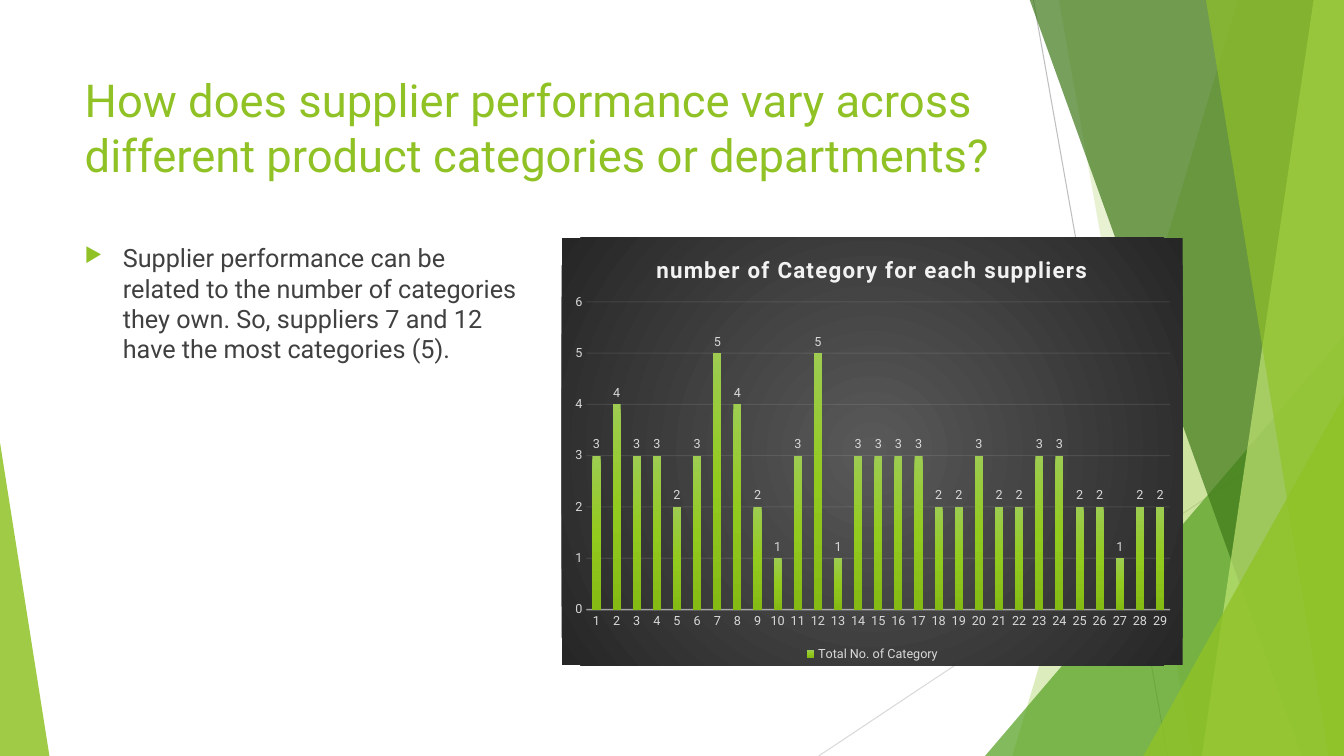
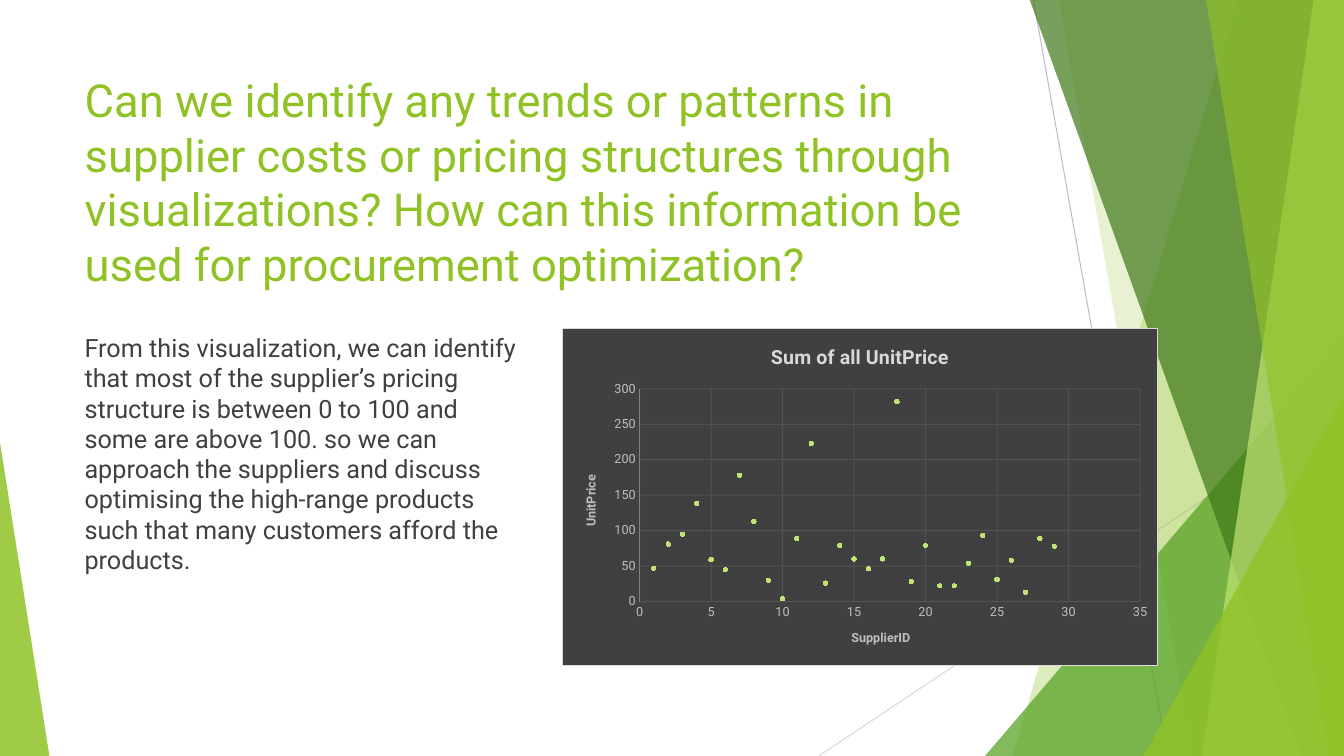
from pptx import Presentation
from pptx.chart.data import CategoryChartData, XyChartData
from pptx.dml.color import RGBColor
from pptx.enum.chart import (XL_CHART_TYPE, XL_LABEL_POSITION, XL_LEGEND_POSITION,
                             XL_MARKER_STYLE, XL_TICK_MARK)
from pptx.enum.shapes import MSO_CONNECTOR, MSO_SHAPE
from pptx.enum.text import MSO_ANCHOR, MSO_AUTO_SIZE, PP_ALIGN
from pptx.oxml import parse_xml
from pptx.oxml.ns import nsdecls
from pptx.util import Inches, Pt

FONT = "Roboto"
GREEN, LEAF, FOREST, LIME = "90C226", "54A021", "3F7819", "C0E474"
INK, SILVER, GREY, PALE = "404040", "D9D9D9", "BFBFBF", "F2F2F2"
TOP, BOTTOM, RIGHT = -0.01, 7.5, 13.33
LEFT, CHART_LEFT = 0.74, 5.57

# Lines: start, end, colour
RAYS = [((10.25, 0), (11.58, BOTTOM), GREY), ((RIGHT, 4.03), (8.12, BOTTOM), SILVER)]
# Facets reach the right edge: left x at the top, left x at the bottom, colour, opacity
BACK_FACETS = [(12.28, 10.04, GREEN, 30), (10.5, 11.83, GREEN, 20)]
FRONT_FACETS = [(10.21, 12.91, FOREST, 70), (13.03, 11.92, LIME, 70),
                (11.96, 13.18, GREEN, 65)]
# Triangles stand on the bottom edge: left, top, width, apex, colour, opacity
BACK_TRIANGLES = [(9.77, 3.33, 3.56, 1, LEAF, 72)]
FRONT_TRIANGLES = [(11.34, 3.93, 1.99, 1, GREEN, 80), (0, 4.39, 0.49, 0, GREEN, 85)]

CATEGORY_COUNTS = [3, 4, 3, 3, 2, 3, 5, 4, 2, 1, 3, 5, 1, 3, 3,
                   3, 3, 2, 2, 3, 2, 2, 3, 3, 2, 2, 1, 2, 2]
UNIT_PRICES = [47, 81, 95, 138, 59, 45, 178, 113, 30, 4, 89, 223, 26, 79, 60,
               46, 60, 282, 28, 79, 22, 22, 54, 93, 31, 58, 13, 89, 78]


def rgb(code):
    """Turn a hex string into a colour."""
    return RGBColor.from_string(code)


def style_font(font, size, color, bold=False):
    """Apply the deck typeface with a size, colour and weight."""
    font.name, font.size, font.bold = FONT, Pt(size), bold
    font.color.rgb = rgb(color)


def set_opacity(element, percent):
    """Give the colours in an element's own shape properties an opacity."""
    for color in element.xpath("./*[local-name()='spPr']//a:srgbClr"):
        color.append(parse_xml(f'<a:alpha {nsdecls("a")} val="{percent * 1000}"/>'))


def style_line(chart_format, color, width, opacity=100):
    """Format a chart line."""
    chart_format.line.color.rgb = rgb(color)
    chart_format.line.width = Pt(width)
    if opacity < 100:
        set_opacity(chart_format.element, opacity)


def solid(color):
    """Return the XML of a solid fill."""
    return f'<a:solidFill {nsdecls("a")}><a:srgbClr val="{color}"/></a:solidFill>'


def gradient(stops, direction):
    """Return the XML of a gradient fill from (percent, colour) stops."""
    marks = "".join(f'<a:gs pos="{place * 1000}"><a:srgbClr val="{color}"/></a:gs>'
                    for place, color in stops)
    return f'<a:gradFill {nsdecls("a")}><a:gsLst>{marks}</a:gsLst>{direction}</a:gradFill>'


class Report:
    """Holds the deck, its style and the current page."""

    def __init__(self):
        """Start a widescreen deck based on the title-only layout."""
        self.deck = Presentation()
        self.deck.slide_width, self.deck.slide_height = Inches(RIGHT), Inches(BOTTOM)
        self.layout = self.deck.slide_layouts[5]
        self.page = None

    def add_page(self, title):
        """Add a page and format its title."""
        self.page = self.deck.slides.add_slide(self.layout)
        box = self.page.shapes.title
        box.left, box.top = Inches(LEFT), Inches(0.67)
        box.width, box.height = Inches(9.4), Inches(1.44)
        self.add_text(box, title, 32.4, GREEN)

    def add_text(self, box, text, size, color):
        """Put one left-aligned paragraph at the top of a box."""
        frame = box.text_frame
        frame.word_wrap, frame.auto_size = True, MSO_AUTO_SIZE.NONE
        frame.vertical_anchor = MSO_ANCHOR.TOP
        para = frame.paragraphs[0]
        para.alignment = PP_ALIGN.LEFT
        span = para.add_run()
        span.text = text
        style_font(span.font, size, color)
        return para

    def body(self, text, top, height, bullet=False):
        """Add the body text, with an arrow bullet if wanted."""
        box = self.page.shapes.add_textbox(Inches(LEFT), Inches(top),
                                           Inches(4.58), Inches(height))
        self.add_text(box, text, 18, INK).space_before = Pt(10)
        if bullet:
            props = box.element.xpath(".//a:pPr")[0]
            props.set("marL", str(Inches(0.38)))
            props.set("indent", str(Inches(-0.38)))
            for xml in (f'<a:buClr {nsdecls("a")}><a:srgbClr val="{GREEN}"/></a:buClr>',
                        f'<a:buSzPct {nsdecls("a")} val="80000"/>',
                        f'<a:buChar {nsdecls("a")} char="\u25b6"/>'):
                props.append(parse_xml(xml))

    def paint(self, shape, color, opacity):
        """Give a decoration a translucent fill and no outline."""
        shape.shadow.inherit = False
        shape.fill.solid()
        shape.fill.fore_color.rgb = rgb(color)
        set_opacity(shape.element, opacity)
        shape.line.fill.background()

    def ray(self, group, start, end, color):
        """Add a thin decorative line."""
        line = group.shapes.add_connector(MSO_CONNECTOR.STRAIGHT,
                                          *map(Inches, start + end))
        line.line.color.rgb = rgb(color)
        line.line.width = Pt(0.75)
        line.element.spPr.append(parse_xml(f'<a:effectLst {nsdecls("a")}/>'))

    def facet(self, group, top_x, bottom_x, color, opacity):
        """Add a full-height facet that ends at the right edge."""
        corners = [(RIGHT, TOP), (RIGHT, BOTTOM), (bottom_x, BOTTOM)]
        outline = group.shapes.build_freeform(Inches(top_x), Inches(TOP))
        outline.add_line_segments([(Inches(x), Inches(y)) for x, y in corners])
        self.paint(outline.convert_to_shape(), color, opacity)

    def triangle(self, group, left, top, width, apex, color, opacity):
        """Add a right-angled triangle standing on the bottom edge."""
        shape = group.shapes.add_shape(MSO_SHAPE.ISOSCELES_TRIANGLE, Inches(left),
                                       Inches(top), Inches(width), Inches(BOTTOM - top))
        shape.adjustments[0] = apex
        self.paint(shape, color, opacity)

    def decorate(self):
        """Draw the shared facets and move them into the layout."""
        group = self.page.shapes.add_group_shape()
        for draw, rows in ((self.ray, RAYS), (self.facet, BACK_FACETS),
                           (self.triangle, BACK_TRIANGLES), (self.facet, FRONT_FACETS),
                           (self.triangle, FRONT_TRIANGLES)):
            for row in rows:
                draw(group, *row)
        for number, props in enumerate(group.element.xpath(".//p:cNvPr"), 100):
            props.set("id", str(number))
        self.layout.shapes.element.insert(2, group.element)

    def chart(self, kind, data, top, width, height, fill, border=None):
        """Add a chart with a filled background."""
        frame = self.page.shapes.add_chart(kind, Inches(CHART_LEFT), Inches(top),
                                           Inches(width), Inches(height), data)
        chart = frame.chart
        style_font(chart.font, 10, "000000")
        chart.has_legend = False
        chart.plots[0].vary_by_categories = False
        edge = (f'<a:ln w="{Pt(0.75)}">{solid(border)}</a:ln>' if border
                else "<a:ln><a:noFill/></a:ln>")
        chart.element.xpath("./c:chart")[0].addnext(
            parse_xml(f'<c:spPr {nsdecls("c", "a")}>{fill}{edge}</c:spPr>'))
        return chart

    def chart_title(self, holder, text, size, color):
        """Add a bold chart or axis title."""
        span = holder.text_frame.paragraphs[0].add_run()
        span.text = text
        style_font(span.font, size, color, bold=True)

    def plot_area(self, chart, x, y, w, h):
        """Fix the inner plot area as fractions of the chart."""
        area = chart.element.xpath(".//c:plotArea")[0]
        for old in area.xpath("./c:layout"):
            area.remove(old)
        values = "".join(f'<c:{name} val="{value}"/>'
                         for name, value in zip("xywh", (x, y, w, h)))
        area.insert(0, parse_xml(
            f'<c:layout {nsdecls("c")}><c:manualLayout><c:layoutTarget val="inner"/>'
            f'<c:xMode val="edge"/><c:yMode val="edge"/>{values}'
            "</c:manualLayout></c:layout>"))

    def axis(self, axis, color, line=None, grid=None, scale=None, title=None):
        """Format an axis; line and grid are (colour, width, opacity)."""
        axis.major_tick_mark = axis.minor_tick_mark = XL_TICK_MARK.NONE
        style_font(axis.tick_labels.font, 9, color)
        axis.has_major_gridlines = grid is not None
        if grid:
            style_line(axis.major_gridlines.format, *grid)
        if line:
            style_line(axis.format, *line)
        else:
            axis.format.line.fill.background()
        if scale:
            axis.minimum_scale = 0
            axis.maximum_scale, axis.major_unit = scale
        axis.has_title = title is not None
        if title:
            self.chart_title(axis.axis_title, title, 9, color)

    def category_chart(self):
        """Add the columns of categories per supplier."""
        data = CategoryChartData()
        data.categories = [str(n) for n in range(1, len(CATEGORY_COUNTS) + 1)]
        data.add_series("Total No. of Category", CATEGORY_COUNTS)
        glow = gradient([(0, "595959"), (100, "262626")],
                        '<a:path path="circle"><a:fillToRect l="50000" t="50000" '
                        'r="50000" b="50000"/></a:path>')
        chart = self.chart(XL_CHART_TYPE.COLUMN_CLUSTERED, data, 2.36, 6.16, 4.24, glow)
        self.chart_title(chart.chart_title, "number of Category for each suppliers",
                         16, PALE)
        chart.chart_title.element.xpath(".//a:r/a:rPr")[0].set("spc", "100")
        self.plot_area(chart, 0.04, 0.15, 0.94, 0.72)
        self.axis(chart.category_axis, SILVER, line=(PALE, 1, 54))
        self.axis(chart.value_axis, SILVER, grid=(PALE, 0.75, 10), scale=(6, 1))
        chart.has_legend = True
        chart.legend.position = XL_LEGEND_POSITION.BOTTOM
        chart.legend.include_in_layout = False
        style_font(chart.legend.font, 9, SILVER)
        plot = chart.plots[0]
        plot.gap_width = 150
        plot.series[0].format.fill.solid()
        fill = chart.element.xpath(".//c:ser/c:spPr/a:solidFill")[0]
        fill.getparent().replace(fill, parse_xml(gradient(
            [(0, "9DCC51"), (50, "93CA1E"), (100, "85BA14")], '<a:lin ang="5400000"/>')))
        labels = plot.series[0].data_labels
        labels.show_value = True
        labels.position = XL_LABEL_POSITION.OUTSIDE_END
        style_font(labels.font, 9, SILVER)

    def price_chart(self):
        """Add the scatter of unit prices per supplier."""
        data = XyChartData()
        points = data.add_series("Series 1")
        for supplier, price in enumerate(UNIT_PRICES, 1):
            points.add_data_point(supplier, price)
        chart = self.chart(XL_CHART_TYPE.XY_SCATTER, data, 3.25, 5.92, 3.36,
                           solid(INK), border=SILVER)
        self.chart_title(chart.chart_title, "Sum of all UnitPrice", 14, SILVER)
        self.plot_area(chart, 0.13, 0.18, 0.84, 0.63)
        grid = ("595959", 0.75, 75)
        self.axis(chart.category_axis, GREY, grid=grid, scale=(35, 5), title="SupplierID")
        self.axis(chart.value_axis, GREY, line=("808080", 0.75), grid=grid,
                  scale=(300, 50), title="UnitPrice")
        turned = chart.value_axis.axis_title.element.xpath(".//a:bodyPr")[0]
        turned.set("rot", "-5400000")
        turned.set("vert", "horz")
        series = chart.plots[0].series[0]
        series.format.line.fill.background()
        marker = series.marker
        marker.style, marker.size = XL_MARKER_STYLE.CIRCLE, 3
        marker.format.fill.solid()
        marker.format.fill.fore_color.rgb = rgb(LIME)
        marker.format.line.color.rgb = rgb(LIME)


report = Report()
report.add_page("How does supplier performance vary across different product "
                "categories or departments?")
report.decorate()
report.body("Supplier performance can be related to the number of categories they own. "
            "So, suppliers 7 and 12 have the most categories (5).", 2.36, 4.24, bullet=True)
report.category_chart()

report.add_page("Can we identify any trends or patterns in supplier costs or pricing "
                "structures through visualizations? How can this information be used "
                "for procurement optimization?")
report.body("From this visualization, we can identify that most of the supplier\u2019s "
            "pricing structure is between 0 to 100 and some are above 100. so we can "
            "approach the suppliers and discuss optimising the high-range products such "
            "that many customers afford the products.", 3.25, 3.36)
report.price_chart()

report.deck.save("out.pptx")
